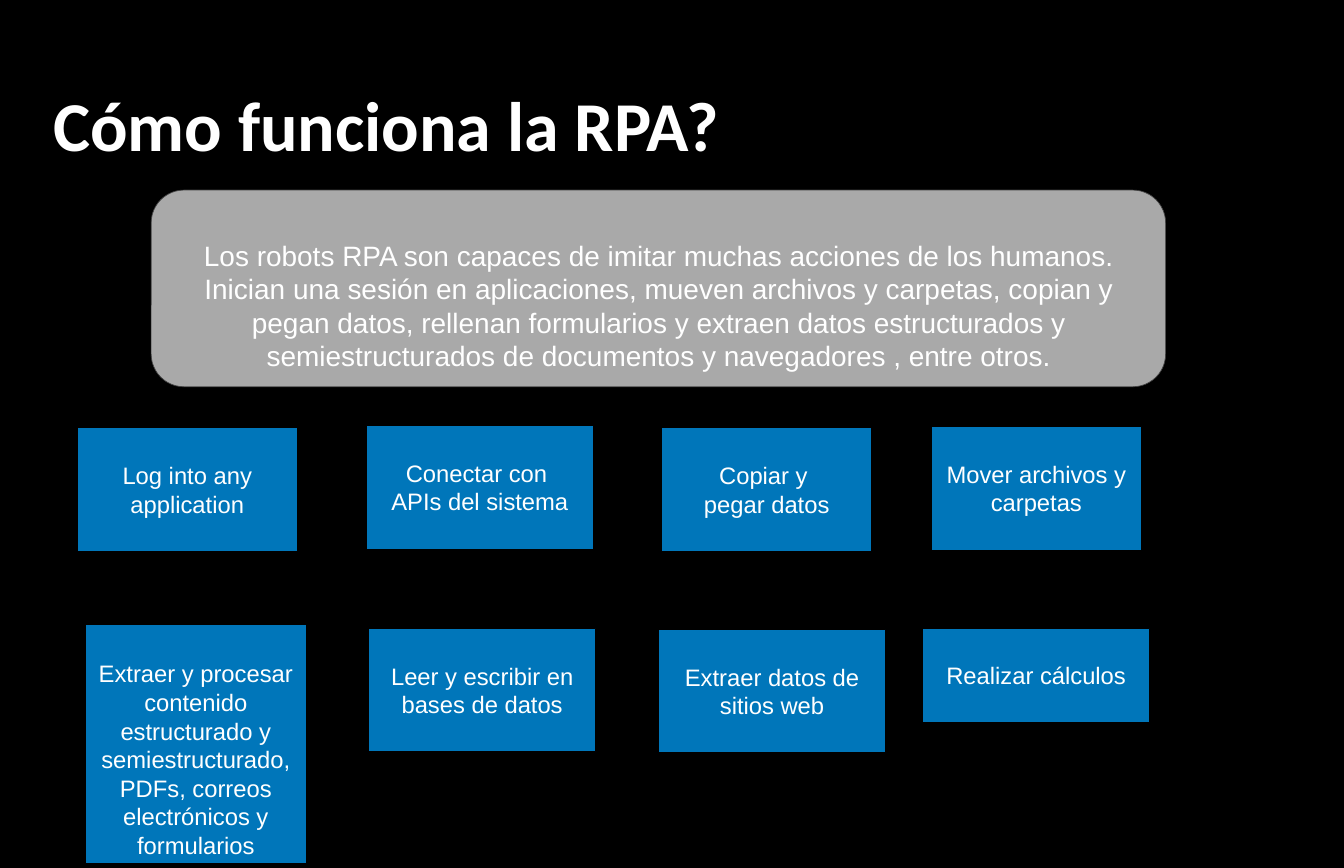
"""Build a slide that explains how RPA works with an introduction and eight task cards."""
from dataclasses import dataclass

from pptx import Presentation
from pptx.dml.color import RGBColor
from pptx.enum.shapes import MSO_SHAPE
from pptx.enum.text import MSO_ANCHOR, MSO_AUTO_SIZE, PP_ALIGN
from pptx.slide import Slide
from pptx.text.text import TextFrame
from pptx.util import Cm, Pt


@dataclass(frozen=True)
class Theme:
    background: RGBColor = RGBColor(0x00, 0x00, 0x00)
    text: RGBColor = RGBColor(0xFF, 0xFF, 0xFF)
    card: RGBColor = RGBColor(0x00, 0x76, 0xBA)
    card_line: RGBColor = RGBColor(0x00, 0x00, 0x00)
    introduction: RGBColor = RGBColor(0xA9, 0xA9, 0xA9)
    introduction_line: RGBColor = RGBColor(0x43, 0x43, 0x43)
    title_font: str = "Calibri"
    body_font: str = "Arial"
    title_size: int = 100
    introduction_size: int = 40
    card_size: int = 34
    line_height: float = 1.2
    margin: float = 0.2


THEME = Theme()


@dataclass(frozen=True)
class Box:
    text: str
    left: float
    top: float
    width: float
    height: float = 6.22
    fill: RGBColor = THEME.card
    line: RGBColor = THEME.card_line
    size: int = THEME.card_size
    outline: MSO_SHAPE = MSO_SHAPE.RECTANGLE
    anchor: MSO_ANCHOR = MSO_ANCHOR.MIDDLE
    top_margin: float = THEME.margin


INTRODUCTION = Box(
    "Los robots RPA son capaces de imitar muchas acciones de los humanos.\n"
    "Inician una sesión en aplicaciones, mueven archivos y carpetas, copian y pegan datos, "
    "rellenan formularios y extraen datos estructurados y semiestructurados de documentos "
    "y navegadores , entre otros.",
    7.62, 9.58, 51.13, 9.91,
    fill=THEME.introduction,
    line=THEME.introduction_line,
    size=THEME.introduction_size,
    outline=MSO_SHAPE.ROUNDED_RECTANGLE,
    top_margin=1.9,
)

CARDS = [
    Box("Log into any application", 3.89, 21.56, 11.1),
    Box("Conectar con \nAPIs del sistema", 18.47, 21.44, 11.43),
    Box("Copiar y \npegar datos", 33.35, 21.56, 10.59),
    Box("Mover archivos y carpetas", 46.94, 21.49, 10.59),
    Box(
        "Extraer y procesar contenido estructurado y semiestructurado, "
        "PDFs, correos electrónicos y formularios",
        4.32, 31.45, 11.1, 12.04, anchor=MSO_ANCHOR.BOTTOM,
    ),
    Box("Leer y escribir en bases de datos", 18.59, 31.65, 11.43),
    Box("Extraer datos de sitios web", 33.2, 31.7, 11.43),
    Box("Realizar cálculos", 46.51, 31.65, 11.43, 4.75),
]


def set_margins(frame: TextFrame, left: float, top: float) -> None:
    frame.margin_left = Cm(left)
    frame.margin_top = Cm(top)
    frame.margin_right = frame.margin_bottom = Cm(THEME.margin)
    frame.word_wrap = True
    frame.auto_size = MSO_AUTO_SIZE.NONE


def format_text(frame: TextFrame, font_name: str, size: int, alignment: PP_ALIGN,
                spacing: float | Pt, bold: bool = False) -> None:
    for paragraph in frame.paragraphs:
        paragraph.alignment = alignment
        paragraph.line_spacing = spacing
        for run in paragraph.runs:
            run.font.name = font_name
            run.font.size = Pt(size)
            run.font.bold = bold
            run.font.color.rgb = THEME.text


def add_title(slide: Slide, text: str) -> None:
    title = slide.shapes.title
    title.left, title.top, title.width, title.height = Cm(2.36), Cm(3.89), Cm(52.1), Cm(4.62)
    frame = title.text_frame
    frame.text = text
    frame.vertical_anchor = MSO_ANCHOR.BOTTOM
    set_margins(frame, 0.33, THEME.margin)
    format_text(frame, THEME.title_font, THEME.title_size, PP_ALIGN.LEFT, 0.8, bold=True)


def add_box(slide: Slide, box: Box) -> None:
    shape = slide.shapes.add_shape(
        box.outline, Cm(box.left), Cm(box.top), Cm(box.width), Cm(box.height))
    shape.shadow.inherit = False
    shape.fill.solid()
    shape.fill.fore_color.rgb = box.fill
    shape.line.color.rgb = box.line
    shape.line.width = Pt(1)
    frame = shape.text_frame
    frame.text = box.text
    frame.vertical_anchor = box.anchor
    set_margins(frame, THEME.margin, box.top_margin)
    format_text(frame, THEME.body_font, box.size, PP_ALIGN.CENTER,
                Pt(box.size * THEME.line_height))


def main() -> None:
    presentation = Presentation()
    presentation.slide_width, presentation.slide_height = Cm(67.74), Cm(43.74)
    slide = presentation.slides.add_slide(presentation.slide_layouts[5])
    slide.background.fill.solid()
    slide.background.fill.fore_color.rgb = THEME.background
    add_title(slide, "Cómo funciona la RPA?")
    for box in [INTRODUCTION, *CARDS]:
        add_box(slide, box)
    presentation.save("out.pptx")


if __name__ == "__main__":
    main()
